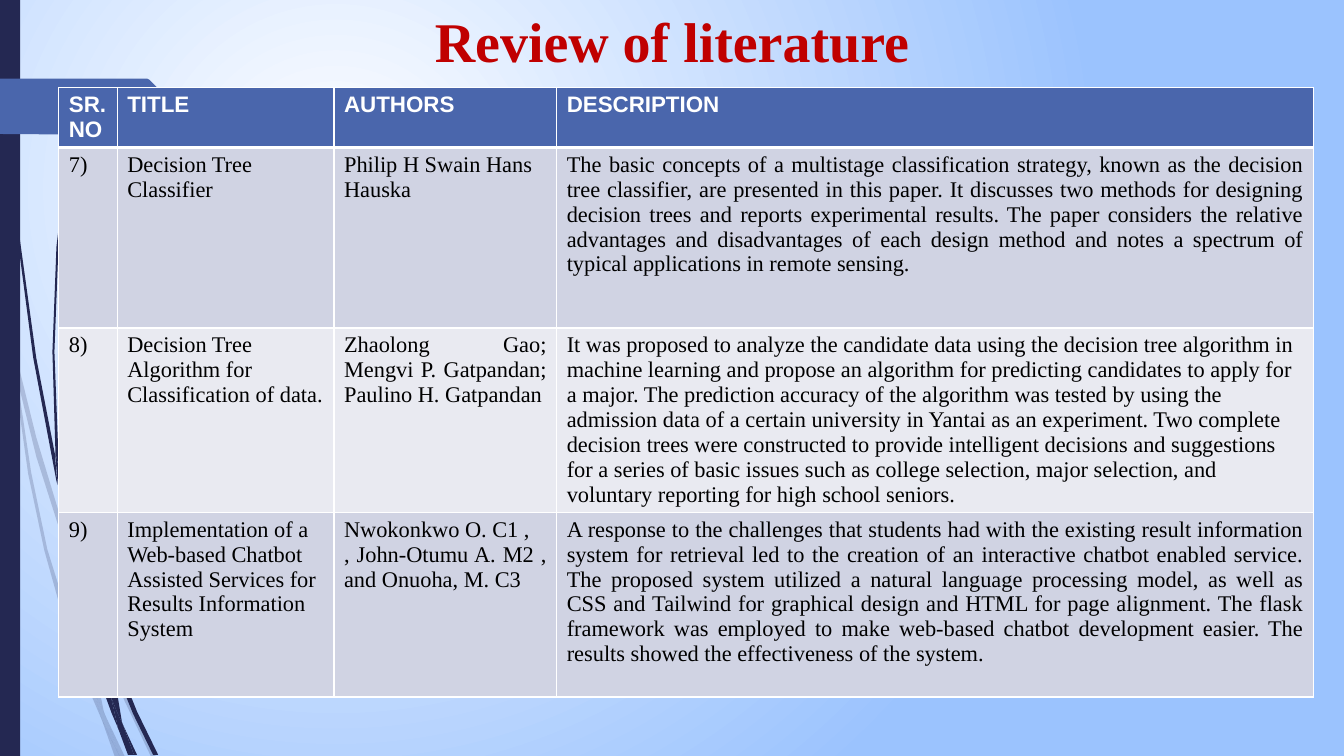
from lxml import etree
from pptx import Presentation
from pptx.dml.color import RGBColor
from pptx.enum import shapes, text
from pptx.oxml import parse_xml
from pptx.oxml.ns import qn
from pptx.util import Pt

COLORS = {"navy": "242852", "blue": "4A66AC", "red": "C00000", "white": "FFFFFF",
          "sky": "9BC3FE", "black": "000000", "band": "D0D3E3", "pale": "E9EAF1"}
SERIF, SANS = "Times New Roman", "Arial"
LEFT, JUSTIFY, CENTER = text.PP_ALIGN.LEFT, text.PP_ALIGN.JUSTIFY, text.PP_ALIGN.CENTER

# Outlines are in hundredths of an inch.
FAINT_WISPS = [
    [(11, 350), (9, 322), (0, 282), (0, 299), (10, 344)],
    [(58, 522), (84, 599), (85, 586), (62, 520), (36, 434), (14, 345), (17, 376), (36, 453)],
    [(92, 607), (88, 596), (88, 610), (123, 694), (150, 751), (155, 751), (127, 692)],
    [(119, 751), (124, 751), (105, 711)],
    [(93, 683), (70, 619), (47, 545), (31, 469), (17, 376), (11, 350), (28, 470),
     (44, 546), (65, 621), (92, 693), (101, 714), (99, 707)],
    [(84, 599), (87, 646), (93, 683), (96, 692), (105, 711), (103, 706), (91, 646),
     (88, 610), (88, 608)],
    [(101, 714), (114, 751), (119, 751)],
    [(96, 692), (93, 683), (99, 707), (101, 714), (119, 751), (105, 711)],
]
DARK_WISPS = [
    [(7, 110), (17, 233), (33, 355), (56, 477), (57, 481), (55, 457), (55, 453), (36, 355),
     (19, 232), (8, 109), (5, 48), (4, 0), (3, 0), (4, 48)],
    [(113, 649), (110, 641), (111, 656), (132, 708), (152, 749), (157, 749), (136, 706)],
    [(110, 691), (98, 657), (84, 608), (72, 556), (64, 505), (57, 477), (68, 557),
     (80, 609), (93, 659), (111, 708), (117, 722), (116, 717)],
    [(60, 472), (58, 453), (54, 349), (58, 245), (63, 193), (70, 141), (62, 193),
     (56, 245), (52, 349), (55, 449)],
    [(133, 749), (136, 749), (122, 719)],
    [(57, 477), (64, 505), (60, 472), (55, 449), (55, 453)],
    [(117, 722), (127, 749), (131, 749)],
    [(106, 645), (110, 691), (116, 706), (122, 719), (121, 716), (111, 656), (109, 651)],
    [(116, 706), (110, 691), (116, 717), (117, 722), (130, 749), (133, 749), (122, 719)],
]
RIBBON = [(173, 108), (148, 133), (146, 134), (0, 133), (0, 78), (146, 78), (148, 79),
          (173, 104), (174, 106)]

COLUMN_WIDTHS = [41.8, 154.8, 159.1, 540.7]
ROW_HEIGHTS = [35, 129, 129, 132]
HEADINGS = ["SR.NO", "TITLE", "AUTHORS", "DESCRIPTION"]
PAPERS = [
    ["7)", "Decision Tree Classifier", "Philip H Swain Hans Hauska",
     "The basic concepts of a multistage classification strategy, known as the decision tree "
     "classifier, are presented in this paper. It discusses two methods for designing decision "
     "trees and reports experimental results. The paper considers the relative advantages and "
     "disadvantages of each design method and notes a spectrum of typical applications in "
     "remote sensing."],
    ["8)", "Decision Tree Algorithm for Classification of data.",
     "Zhaolong Gao; Mengvi P. Gatpandan; Paulino H. Gatpandan",
     "It was proposed to analyze the candidate data using the decision tree algorithm in machine "
     "learning and propose an algorithm for predicting candidates to apply for a major. The "
     "prediction accuracy of the algorithm was tested by using the admission data of a certain "
     "university in Yantai as an experiment. Two complete decision trees were constructed to "
     "provide intelligent decisions and suggestions for a series of basic issues such as college "
     "selection, major selection, and voluntary reporting for high school seniors."],
    ["9)", "Implementation of a Web-based Chatbot Assisted Services for Results Information System",
     "Nwokonkwo O. C1 ,\n, John-Otumu A. M2 , and Onuoha, M. C3",
     "A response to the challenges that students had with the existing result information system "
     "for retrieval led to the creation of an interactive chatbot enabled service. The proposed "
     "system utilized a natural language processing model, as well as CSS and Tailwind for "
     "graphical design and HTML for page alignment. The flask framework was employed to make "
     "web-based chatbot development easier. The results showed the effectiveness of the system."],
]
ALIGNMENTS = [
    [JUSTIFY] * 4,
    [JUSTIFY, LEFT, LEFT, JUSTIFY],
    [JUSTIFY, LEFT, JUSTIFY, LEFT],
    [JUSTIFY, LEFT, JUSTIFY, JUSTIFY],
]


class SlideBuilder:
    def __init__(self, page):
        self.page = page

    def background(self, inner, outer):
        """Fill the page with a radial gradient centred up and to the left."""
        fill = self.page.background.fill
        fill.gradient()
        for position, (stop, color) in enumerate(zip(fill.gradient_stops, (inner, outer))):
            stop.color.rgb = RGBColor.from_string(COLORS[color])
            stop.position = position
        gradient = self.page.element.find(".//" + qn("a:gradFill"))
        gradient.replace(gradient.find(qn("a:lin")), parse_xml(
            '<a:path xmlns:a="http://schemas.openxmlformats.org/drawingml/2006/main" path="circle">'
            '<a:fillToRect l="50000" t="50000" r="100000" b="100000"/></a:path>'))

    def paint(self, shape, color, opacity=100):
        shape.shadow.inherit = False
        shape.line.fill.background()
        shape.fill.solid()
        shape.fill.fore_color.rgb = RGBColor.from_string(COLORS[color])
        if opacity < 100:
            tint = shape.element.spPr.find(qn("a:solidFill") + "/" + qn("a:srgbClr"))
            etree.SubElement(tint, qn("a:alpha"), val=str(opacity * 1000))

    def outline(self, points, color, opacity=100):
        builder = self.page.shapes.build_freeform(*points[0], scale=Pt(0.72))
        builder.add_line_segments(points[1:], close=True)
        self.paint(builder.convert_to_shape(), color, opacity)

    def rectangle(self, left, top, width, height, color):
        shape = self.page.shapes.add_shape(
            shapes.MSO_SHAPE.RECTANGLE, Pt(left), Pt(top), Pt(width), Pt(height))
        self.paint(shape, color)

    def set_text(self, frame, wording, alignment, size, font, color, bold):
        frame.text = wording
        for para in frame.paragraphs:
            para.alignment = alignment
            para.font.size = Pt(size)
            para.font.name = font
            para.font.bold = bold
            para.font.color.rgb = RGBColor.from_string(COLORS[color])

    def title(self, wording, left, top, width, height):
        box = self.page.shapes.title
        box.left, box.top, box.width, box.height = Pt(left), Pt(top), Pt(width), Pt(height)
        box.text_frame.vertical_anchor = text.MSO_ANCHOR.TOP
        self.set_text(box.text_frame, wording, CENTER, 40, SERIF, "red", True)

    def border(self, cell, widths):
        """Draw white edges; widths run left, right, top, bottom."""
        properties = cell._tc.get_or_add_tcPr()
        for index, (side, width) in enumerate(zip("LRTB", widths)):
            edge = etree.Element(qn("a:ln" + side), w=str(Pt(width)))
            fill = etree.SubElement(edge, qn("a:solidFill"))
            etree.SubElement(fill, qn("a:srgbClr"), val=COLORS["white"])
            properties.insert(index, edge)

    def table(self, left, top, rows):
        grid = self.page.shapes.add_table(
            len(rows), len(COLUMN_WIDTHS), Pt(left), Pt(top),
            Pt(sum(COLUMN_WIDTHS)), Pt(sum(ROW_HEIGHTS))).table
        for column, width in zip(grid.columns, COLUMN_WIDTHS):
            column.width = Pt(width)
        for r, wordings in enumerate(rows):
            grid.rows[r].height = Pt(ROW_HEIGHTS[r])
            heading = r == 0
            shade = "blue" if heading else "band" if r % 2 else "pale"
            font, color = (SANS, "white") if heading else (SERIF, "black")
            for c, wording in enumerate(wordings):
                cell = grid.cell(r, c)
                cell.fill.solid()
                cell.fill.fore_color.rgb = RGBColor.from_string(COLORS[shade])
                self.border(cell, (1, 1, 3 if r == 1 else 1, 3 if heading else 1))
                self.set_text(cell.text_frame, wording, ALIGNMENTS[r][c], 16, font, color, heading)


def main():
    deck = Presentation()
    deck.slide_width, deck.slide_height = Pt(960), Pt(540)
    slide = SlideBuilder(deck.slides.add_slide(deck.slide_layouts[5]))
    slide.background("white", "sky")
    for wisp in FAINT_WISPS:
        slide.outline(wisp, "navy", 20)
    for wisp in DARK_WISPS:
        slide.outline(wisp, "navy")
    slide.rectangle(0, 0, 14.4, 540, "navy")
    slide.outline(RIBBON, "blue")
    slide.table(42, 62.5, [HEADINGS] + PAPERS)
    slide.title("Review of literature", 240, 1, 480, 55.4)
    deck.save("out.pptx")


if __name__ == "__main__":
    main()
